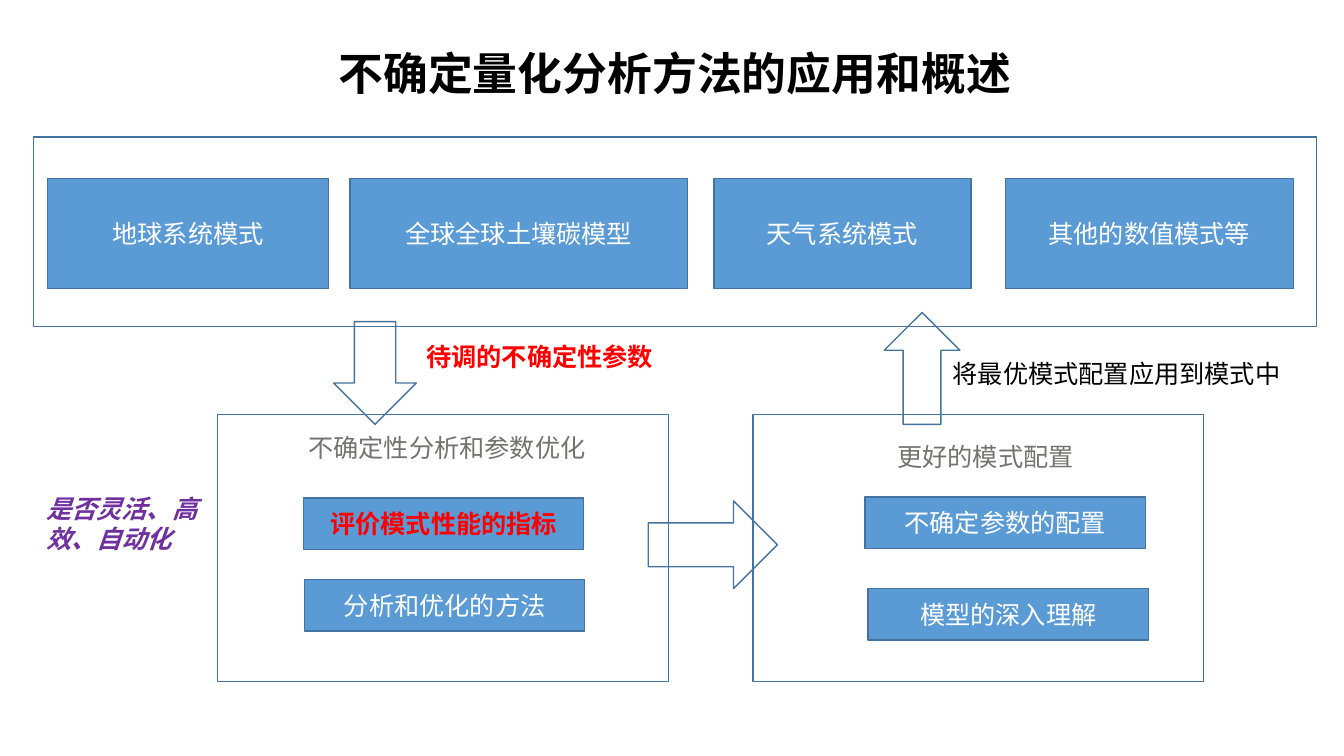
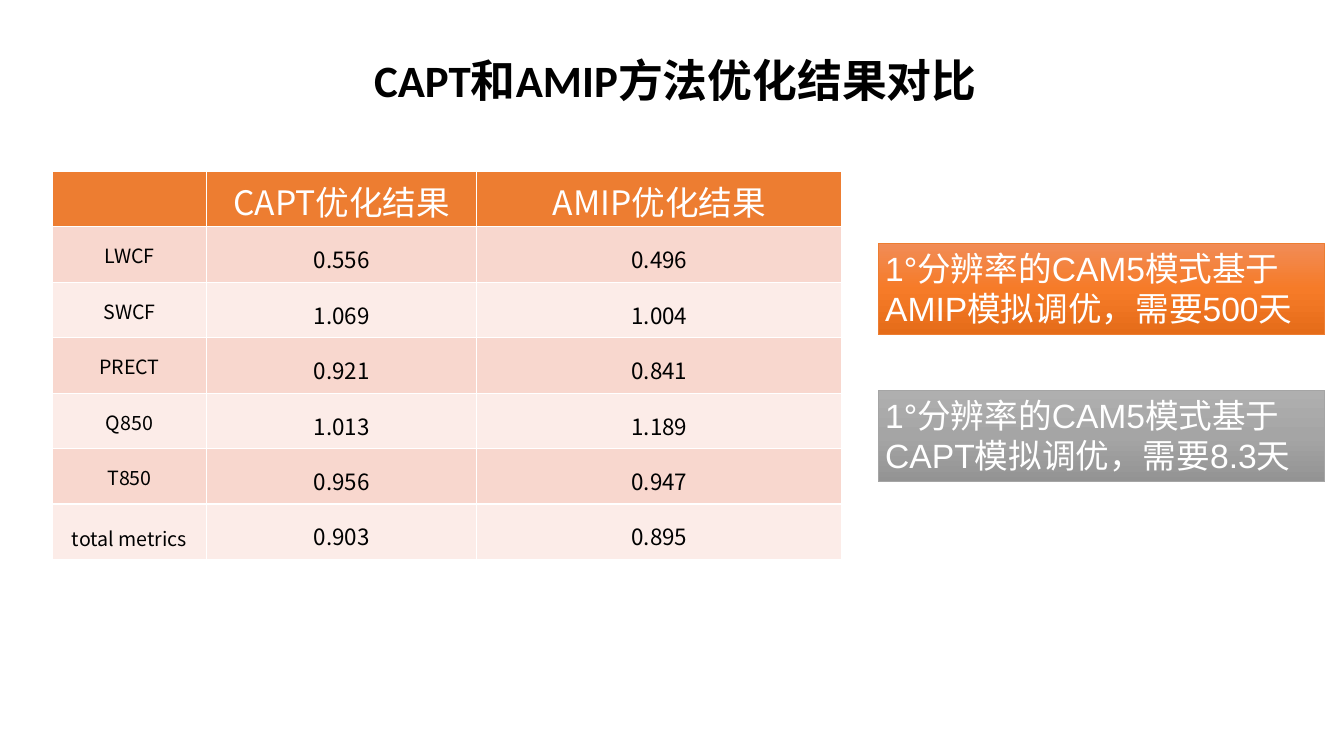
from copy import deepcopy
from dataclasses import dataclass

from lxml.etree import SubElement
from pptx import Presentation
from pptx.dml.color import RGBColor
from pptx.enum.shapes import MSO_SHAPE
from pptx.enum.text import MSO_ANCHOR, MSO_AUTO_SIZE, PP_ALIGN
from pptx.oxml.ns import qn
from pptx.util import Inches, Pt


@dataclass(frozen=True)
class Theme:
    east_asian: str = "Noto Sans CJK SC"
    title_font: str = "Calibri"
    note_font: str = "Arial"
    title_size: int = 32
    large_size: int = 24
    body_size: int = 18
    value_size: int = 16
    small_size: int = 14
    white: str = "FFFFFF"
    black: str = "000000"
    grey: str = "767171"
    red: str = "FF0000"
    purple: str = "7030A0"
    blue: str = "5B9BD5"
    outline: str = "43739E"
    header: str = "ED7D31"
    bands: tuple = ("F8D7CE", "FCECE8")
    orange_note: tuple = ("F18C57", "F67B28", "E56C19")
    grey_note: tuple = ("AFAFAF", "A5A5A5", "939393")
    grey_line: str = "A5A5A5"


THEME = Theme()
CENTER = PP_ALIGN.CENTER


# Shared helpers
def inches(*lengths):
    return [Inches(round(length, 2)) for length in lengths]


def set_margins(target, **margins):
    for side, margin in margins.items():
        setattr(target, f"margin_{side}", Inches(margin))


def write(frame, text, align=None, spacing=None, **formats):
    """Fill a text frame with one formatted paragraph."""
    para = frame.paragraphs[0]
    for name, value in {"alignment": align, "line_spacing": spacing}.items():
        setattr(para, name, value)
    span = para.add_run()
    span.text = text
    values = {"name": THEME.east_asian, "size": THEME.body_size,
              "color": THEME.black, "bold": False, "italic": False} | formats
    span.font.color.rgb = RGBColor.from_string(values.pop("color"))
    values["size"] = Pt(values["size"])
    for name, value in values.items():
        setattr(span.font, name, value)
    properties = span.font._element
    SubElement(properties, qn("a:ea"), typeface=THEME.east_asian)


def add_title(page, text, at, align):
    title = page.shapes.title
    for name, value in zip(("left", "top", "width", "height"), inches(*at)):
        setattr(title, name, value)
    frame = title.text_frame
    for name, value in {"word_wrap": True, "auto_size": MSO_AUTO_SIZE.NONE,
                        "vertical_anchor": MSO_ANCHOR.TOP}.items():
        setattr(frame, name, value)
    write(frame, text, align, name=THEME.title_font, size=THEME.title_size, bold=True)


def add_shape(page, at, kind=MSO_SHAPE.RECTANGLE, fill=None,
              line=THEME.outline, weight=1):
    shape = page.shapes.add_shape(kind, *inches(*at))
    shape.shadow.inherit = False
    shape.line.color.rgb = RGBColor.from_string(line)
    shape.line.width = Pt(weight)
    if fill:
        shape.fill.solid()
        shape.fill.fore_color.rgb = RGBColor.from_string(fill)
    else:
        shape.fill.background()
    return shape


def add_block(page, at, text, **formats):
    frame = add_shape(page, at, fill=THEME.blue).text_frame
    frame.word_wrap = True
    frame.vertical_anchor = MSO_ANCHOR.MIDDLE
    write(frame, text, CENTER, **({"color": THEME.white} | formats))


def add_label(page, at, text, align=PP_ALIGN.LEFT, **formats):
    frame = page.shapes.add_textbox(*inches(*at)).text_frame
    frame.word_wrap = True
    write(frame, text, align, **formats)


# Regions of the overview slide
def model_band(page, left, top, width, height):
    add_shape(page, (left, top, width, height))
    models = [
        (0.14, 2.79, "地球系统模式"),
        (3.14, 3.35, "全球全球土壤碳模型"),
        (6.75, 2.55, "天气系统模式"),
        (9.64, 2.86, "其他的数值模式等"),
    ]
    for offset, block_width, text in models:
        add_block(page, (left + offset, top + 0.41, block_width, 1.09), text)


def step_panel(page, left, top, heading, blocks):
    """Framed step; heading is (x, y, text, align), blocks are (x, y, text, formats)."""
    add_shape(page, (left, top, 4.47, 2.65))
    x, y, text, align = heading
    add_label(page, (left + x, top + y, 4.13, 0.4), text, align, color=THEME.grey)
    for x, y, text, formats in blocks:
        add_block(page, (left + x, top + y, 2.78, 0.51), text, **formats)


def flow_arrows(page):
    arrows = [
        (MSO_SHAPE.DOWN_ARROW, (3.31, 3.19, 0.82, 1.02)),
        (MSO_SHAPE.RIGHT_ARROW, (6.43, 4.97, 1.28, 0.87)),
        (MSO_SHAPE.UP_ARROW, (8.77, 3.1, 0.75, 1.11)),
    ]
    for kind, at in arrows:
        add_shape(page, at, kind)
    add_label(page, (4.13, 3.34, 2.89, 0.4), "待调的不确定性参数",
              color=THEME.red, bold=True)
    add_label(page, (9.35, 3.51, 3.9, 0.4), "将最优模式配置应用到模式中")


def overview_slide(page):
    add_title(page, "不确定量化分析方法的应用和概述", (2.37, 0.4, 8.65, 0.8), CENTER)
    model_band(page, 0.33, 1.36, 12.73, 1.88)
    step_panel(page, 2.16, 4.11, (0.8, 0.13, "不确定性分析和参数优化", PP_ALIGN.LEFT), [
        (0.85, 0.83, "评价模式性能的指标", {"color": THEME.red, "bold": True}),
        (0.86, 1.64, "分析和优化的方法", {}),
    ])
    step_panel(page, 7.47, 4.11, (0.24, 0.22, "更好的模式配置", CENTER), [
        (1.11, 0.82, "不确定参数的配置", {}),
        (1.14, 1.73, "模型的深入理解", {}),
    ])
    flow_arrows(page)
    add_label(page, (0.36, 4.84, 1.84, 0.71), "是否灵活、高效、自动化",
              color=THEME.purple, bold=True, italic=True)


# Regions of the comparison slide
def result_table(page, left, top):
    rows = [
        ("", "CAPT优化结果", "AMIP优化结果"),
        ("LWCF", "0.556", "0.496"),
        ("SWCF", "1.069", "1.004"),
        ("PRECT", "0.921", "0.841"),
        ("Q850", "1.013", "1.189"),
        ("T850", "0.956", "0.947"),
        ("total metrics", "0.903", "0.895"),
    ]
    widths = (1.53, 2.68, 3.62)
    row_height = 0.55
    table = page.shapes.add_table(len(rows), len(widths), *inches(
        left, top, sum(widths), row_height * len(rows))).table
    for column, width in zip(table.columns, widths):
        column.width = Inches(width)
    for row, texts in enumerate(rows):
        table.rows[row].height = Inches(row_height)
        fill = THEME.bands[(row - 1) % 2] if row else THEME.header
        for column, text in enumerate(texts):
            cell = table.cell(row, column)
            cell.fill.solid()
            cell.fill.fore_color.rgb = RGBColor.from_string(fill)
            if not row:
                set_margins(cell, top=0.05, bottom=0)
                if text:
                    write(cell.text_frame, text, CENTER,
                          size=THEME.large_size, color=THEME.white)
                continue
            if text != "total metrics":
                set_margins(cell, left=0.07, right=0.07, top=0, bottom=0)
            write(cell.text_frame, text, CENTER, 1.5,
                  size=THEME.value_size if column else THEME.small_size)


def cost_note(page, left, top, text, colors, line):
    box = add_shape(page, (left, top, 4.43, 0.91), line=line, weight=0.5)
    # Three-stop gradient running from top to bottom
    box.fill.gradient()
    box.fill.gradient_angle = 270
    first = box._element.spPr.find(qn("a:gradFill")).find(qn("a:gsLst"))[0]
    first.addnext(deepcopy(first))
    for stop, position, color in zip(box.fill.gradient_stops, (0, 0.5, 1), colors):
        stop.position = position
        stop.color.rgb = RGBColor.from_string(color)
    # Narrow side margins keep the sentence on two lines
    frame = box.text_frame
    frame.word_wrap = True
    frame.vertical_anchor = MSO_ANCHOR.TOP
    set_margins(frame, left=0.07, right=0.02)
    write(frame, text, PP_ALIGN.LEFT, name=THEME.note_font,
          size=THEME.large_size, color=THEME.white)


def comparison_slide(page):
    add_title(page, "CAPT和AMIP方法优化结果对比", (3.61, 0.47, 6.23, 1.2), PP_ALIGN.LEFT)
    result_table(page, 0.52, 1.7)
    cost_note(page, 8.71, 2.41, "1°分辨率的CAM5模式基于AMIP模拟调优，需要500天",
              THEME.orange_note, THEME.header)
    cost_note(page, 8.71, 3.87, "1°分辨率的CAM5模式基于CAPT模拟调优，需要8.3天",
              THEME.grey_note, THEME.grey_line)


def main():
    deck = Presentation()
    deck.slide_width, deck.slide_height = inches(13.33, 7.5)
    title_only = deck.slide_layouts[5]
    for build in (overview_slide, comparison_slide):
        build(deck.slides.add_slide(title_only))
    deck.save("out.pptx")


if __name__ == "__main__":
    main()
